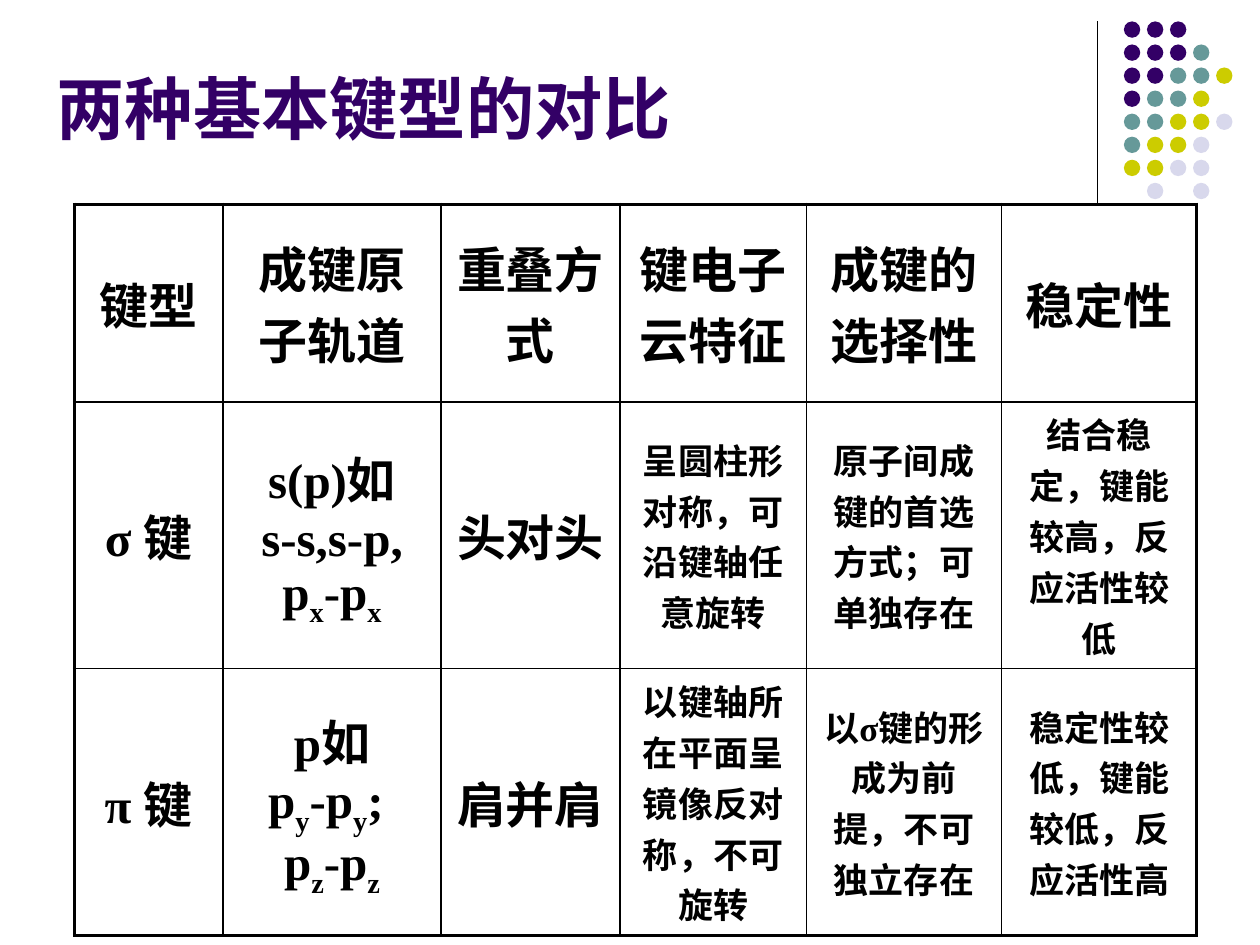
from lxml.etree import SubElement
from pptx import Presentation
from pptx.dml.color import RGBColor
from pptx.enum.shapes import MSO_CONNECTOR, MSO_SHAPE
from pptx.enum.text import MSO_ANCHOR, MSO_AUTO_SIZE, PP_ALIGN
from pptx.oxml.ns import qn
from pptx.util import Inches, Pt

COLORS = {
    "purple": "330066",
    "teal": "669999",
    "olive": "CCCC00",
    "lavender": "D8D8EC",
    "black": "000000",
    "white": "FFFFFF",
}
DOT_COLORS = {"P": "purple", "T": "teal", "O": "olive", "L": "lavender"}
DOT_ROWS = ["PPP", "PPPT", "PPTTO", "PTTO", "TTOOL", "TOOL", "OOLL", " L L"]
DOT_LEFT, DOT_TOP, DOT_PITCH, DOT_SIZE = 8.92, 0.17, 0.183, 0.13

COLUMN_WIDTHS = [1.18, 1.73, 1.42, 1.48, 1.55, 1.55]
ROW_HEIGHTS = [1.57, 1.63, 1.77]
# An underscore lowers the next character; a line break starts a paragraph.
TABLE_ROWS = [
    ["键型", "成键原子轨道", "重叠方式", "键电子\n云特征", "成键的选择性", "稳定性"],
    ["σ 键", "s(p)如\ns-s,s-p, p_x-p_x", "头对头",
     "呈圆柱形对称，可沿键轴任意旋转",
     "原子间成键的首选方式；可单独存在",
     "结合稳定，键能较高，反应活性较低"],
    ["π 键", "p如\np_y-p_y; \np_z-p_z", "肩并肩",
     "以键轴所在平面呈镜像反对称，不可旋转",
     "以σ键的形成为前提，不可独立存在",
     "稳定性较低，键能较低，反应活性高"],
]
FIRST_DETAIL_COLUMN = 3


def rgb(name):
    return RGBColor.from_string(COLORS[name])


def add_run(paragraph, text, size, font, color, subscript=False):
    if not text:
        return
    run = paragraph.add_run()
    run.text = text
    run.font.size = Pt(size)
    run.font.name = font
    run.font.bold = True
    run.font.color.rgb = rgb(color)
    if subscript:
        run._r.get_or_add_rPr().set("baseline", "-25000")


def write_text(frame, text, *, size, font, color="black", align=PP_ALIGN.CENTER):
    """Write the lines as paragraphs, keeping punctuation inside the margins."""
    for index, line in enumerate(text.split("\n")):
        paragraph = frame.paragraphs[0] if index == 0 else frame.add_paragraph()
        paragraph.alignment = align
        paragraph._p.get_or_add_pPr().set("hangingPunct", "0")
        start, *lowered = line.split("_")
        add_run(paragraph, start, size, font, color)
        for part in lowered:
            add_run(paragraph, part[0], size, font, color, subscript=True)
            add_run(paragraph, part[1:], size, font, color)


def add_title(slide, text):
    title = slide.shapes.title
    title.left, title.top = Inches(0.35), Inches(0.36)
    title.width, title.height = Inches(8.25), Inches(0.87)
    frame = title.text_frame
    frame.auto_size = MSO_AUTO_SIZE.NONE
    frame.vertical_anchor = MSO_ANCHOR.BOTTOM
    write_text(frame, text, size=39, font="Arial", color="purple", align=PP_ALIGN.LEFT)


def add_side_line(slide):
    line = slide.shapes.add_connector(
        MSO_CONNECTOR.STRAIGHT, Inches(8.71), Inches(0.17), Inches(8.71), Inches(1.83))
    line.line.color.rgb = rgb("black")
    line.line.width = Pt(0.75)
    SubElement(line._element.spPr, qn("a:effectLst"))


def add_dots(slide):
    group = slide.shapes.add_group_shape()
    for row, pattern in enumerate(DOT_ROWS):
        for column, key in enumerate(pattern):
            if key == " ":
                continue
            dot = group.shapes.add_shape(
                MSO_SHAPE.OVAL,
                Inches(DOT_LEFT + column * DOT_PITCH),
                Inches(DOT_TOP + row * DOT_PITCH),
                Inches(DOT_SIZE), Inches(DOT_SIZE))
            dot.shadow.inherit = False
            dot.fill.solid()
            dot.fill.fore_color.rgb = rgb(DOT_COLORS[key])
            dot.line.fill.background()


def set_borders(cell, widths):
    """Draw black borders; widths are points for left, right, top and bottom."""
    properties = cell._tc.get_or_add_tcPr()
    for position, (side, width) in enumerate(zip("LRTB", widths)):
        border = properties.makeelement(qn(f"a:ln{side}"), {"w": str(Pt(width))})
        fill = SubElement(border, qn("a:solidFill"))
        SubElement(fill, qn("a:srgbClr"), val=COLORS["black"])
        properties.insert(position, border)


def add_comparison_table(slide):
    last_row, last_column = len(ROW_HEIGHTS) - 1, len(COLUMN_WIDTHS) - 1
    table = slide.shapes.add_table(
        len(ROW_HEIGHTS), len(COLUMN_WIDTHS), Inches(0.59), Inches(1.62),
        Inches(sum(COLUMN_WIDTHS)), Inches(sum(ROW_HEIGHTS))).table
    for column, width in zip(table.columns, COLUMN_WIDTHS):
        column.width = Inches(width)
    for row, height in zip(table.rows, ROW_HEIGHTS):
        row.height = Inches(height)
    for row, texts in enumerate(TABLE_ROWS):
        for column, text in enumerate(texts):
            cell = table.cell(row, column)
            cell.fill.solid()
            cell.fill.fore_color.rgb = rgb("white")
            cell.vertical_anchor = MSO_ANCHOR.MIDDLE
            is_detail = row > 0 and column >= FIRST_DETAIL_COLUMN
            write_text(cell.text_frame, text, size=20 if is_detail else 28,
                       font="Times New Roman")
            outer = (column == 0, column == last_column, row == 0, row == last_row)
            set_borders(cell, [2 if edge else 1 for edge in outer])


def main():
    presentation = Presentation()
    presentation.slide_width, presentation.slide_height = Inches(10), Inches(7.5)
    slide = presentation.slides.add_slide(presentation.slide_layouts[5])
    add_side_line(slide)
    add_dots(slide)
    add_title(slide, "两种基本键型的对比")
    add_comparison_table(slide)
    presentation.save("out.pptx")


if __name__ == "__main__":
    main()
